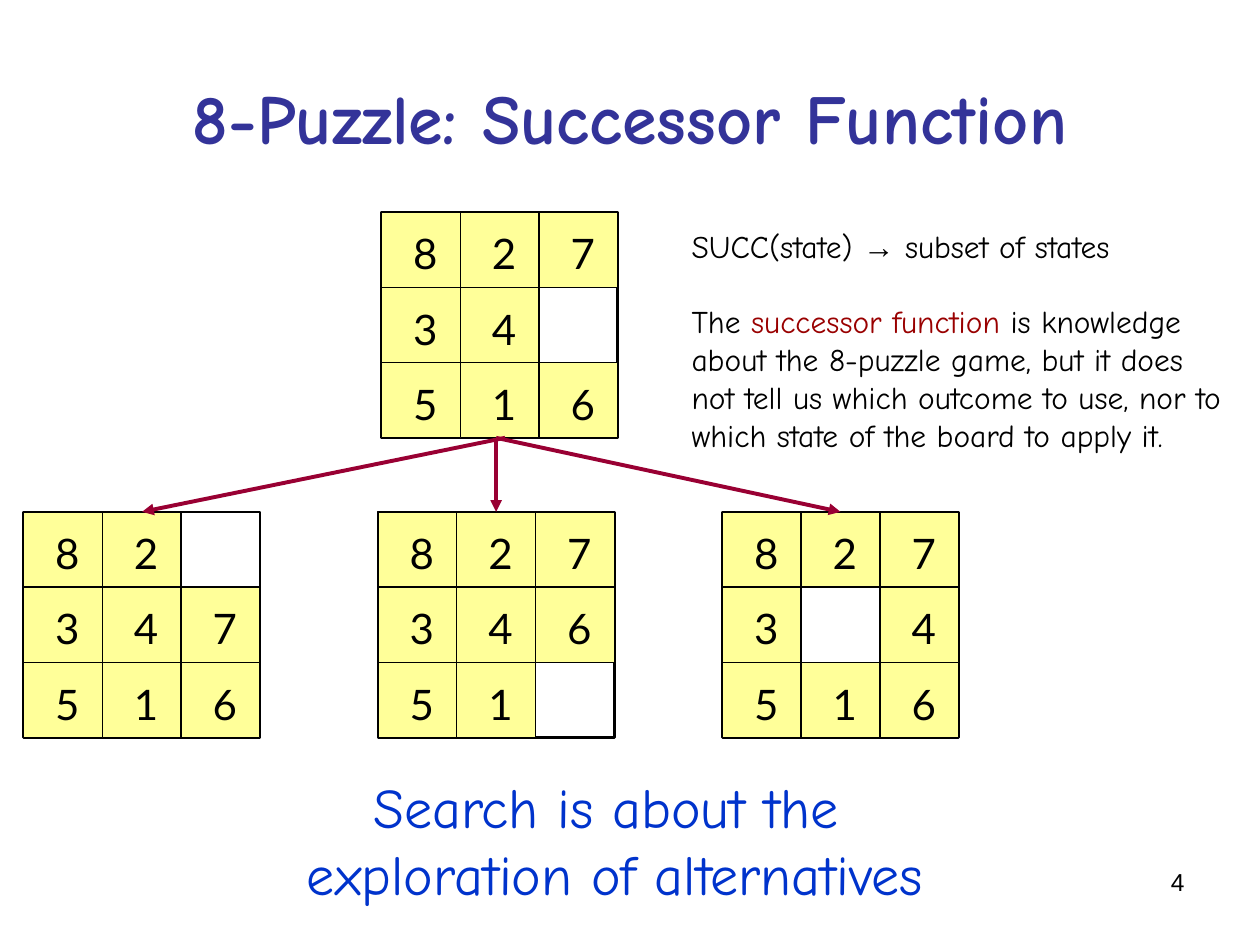
from dataclasses import dataclass

from lxml import etree
from pptx import Presentation
from pptx.dml.color import RGBColor
from pptx.enum.shapes import MSO_CONNECTOR, MSO_SHAPE
from pptx.enum.text import MSO_ANCHOR, MSO_AUTO_SIZE, PP_ALIGN
from pptx.oxml.ns import qn
from pptx.util import Pt

RECT = MSO_SHAPE.RECTANGLE
STRAIGHT = MSO_CONNECTOR.STRAIGHT
MIDDLE = MSO_ANCHOR.MIDDLE
FIT = MSO_AUTO_SIZE.SHAPE_TO_FIT_TEXT
LEFT, CENTER, RIGHT = PP_ALIGN.LEFT, PP_ALIGN.CENTER, PP_ALIGN.RIGHT

BLACK, YELLOW = "000000", "FFFF99"
COMIC, LATO, ARIAL = "Comic Neue", "Lato", "Arial"
TILE_W, TILE_H = 45, 43
DIGIT_DX, DIGIT_DY = 11, 5.5


@dataclass
class Board:
    x: float
    y: float
    rows: tuple[str, ...]  # a space marks the empty cell


@dataclass
class Run:
    text: str
    size: float
    font: str = COMIC
    color: str = BLACK
    bold: bool = False


@dataclass
class Arrow:
    x1: float
    x2: float


def rgb(color: str) -> RGBColor:
    return RGBColor.from_string(color)


def add_text(shapes, x: float, y: float, w: float, h: float,
             paragraphs: list[list[Run]], align=LEFT, wrap: bool = False):
    """Add a text box; a newline in a run becomes a line break."""
    sp = shapes.add_textbox(Pt(x), Pt(y), Pt(w), Pt(h))
    tf = sp.text_frame
    tf.word_wrap = wrap
    if not wrap:
        tf.auto_size = FIT
    for i, runs in enumerate(paragraphs):
        p = tf.paragraphs[0] if i == 0 else tf.add_paragraph()
        p.alignment = align
        for run in runs:
            for n, line in enumerate(run.text.split("\n")):
                if n:
                    p.add_line_break()
                r = p.add_run()
                r.text = line
                r.font.size = Pt(run.size)
                r.font.name = run.font
                r.font.bold = run.bold
                r.font.color.rgb = rgb(run.color)
    return tf


def add_rect(shapes, x: float, y: float, w: float, h: float,
             line_width: float, fill: str | None = None) -> None:
    sp = shapes.add_shape(RECT, Pt(x), Pt(y), Pt(w), Pt(h))
    sp.shadow.inherit = False
    if fill:
        sp.fill.solid()
        sp.fill.fore_color.rgb = rgb(fill)
    else:
        sp.fill.background()
    sp.line.color.rgb = rgb(BLACK)
    sp.line.width = Pt(line_width)


def add_board(s, board: Board) -> None:
    shapes = s.shapes.add_group_shape().shapes
    add_rect(shapes, board.x, board.y, 3 * TILE_W, 3 * TILE_H, 1.5)
    tiles = [(board.x + col * TILE_W, board.y + row * TILE_H, digit)
             for row, digits in enumerate(board.rows)
             for col, digit in enumerate(digits) if digit != " "]
    for x, y, _ in tiles:
        add_rect(shapes, x, y, TILE_W, TILE_H, 0.75, YELLOW)
    for x, y, digit in tiles:
        add_text(shapes, x + DIGIT_DX, y + DIGIT_DY, 28, 36,
                 [[Run(digit, 24, LATO)]])


def add_arrow(s, arrow: Arrow, y1: float, y2: float) -> None:
    cxn = s.shapes.add_connector(STRAIGHT, Pt(arrow.x1), Pt(y1),
                                 Pt(arrow.x2), Pt(y2))
    cxn.line.color.rgb = rgb("990033")
    cxn.line.width = Pt(2.25)
    ln = cxn.line._get_or_add_ln()
    etree.SubElement(ln, qn("a:tailEnd"), type="triangle")
    etree.SubElement(cxn._element.spPr, qn("a:effectLst"))


PARENT = Board(218, 121.2, ("827", "34 ", "516"))
CHILD_Y = 292.5
CHILDREN = [
    Board(13.5, CHILD_Y, ("82 ", "347", "516")),
    Board(216, CHILD_Y, ("827", "346", "51 ")),
    Board(412.8, CHILD_Y, ("827", "3 4", "516")),
]
ARROWS = [Arrow(288.6, 81.2), Arrow(283.5, 283.5), Arrow(283.5, 480.3)]


def main() -> None:
    prs = Presentation()
    prs.slide_width, prs.slide_height = Pt(720), Pt(540)
    s = prs.slides.add_slide(prs.slide_layouts[6])

    title = [[Run("8-Puzzle: Successor Function", 40, COMIC, "333399", True)]]
    tf = add_text(s.shapes, 36, 21.6, 648, 90, title, CENTER, wrap=True)
    tf.vertical_anchor = MIDDLE

    for board in [PARENT, *CHILDREN]:
        add_board(s, board)
    for arrow in ARROWS:
        add_arrow(s, arrow, PARENT.y + 3 * TILE_H, CHILD_Y)

    add_text(s.shapes, 167, 437.8, 369.4, 84.2,
             [[Run("Search is about the \nexploration of alternatives",
                   32, COMIC, "0033CC")]], CENTER)

    tf = add_text(s.shapes, 388.1, 126, 319, 136.8, [
        [Run("SUCC(state) ", 18), Run("→", 18, ARIAL),
         Run(" subset of states", 18)],
        [Run("The ", 18), Run("successor function", 18, COMIC, "990000"),
         Run(" is knowledge\nabout the 8-puzzle game, but it does", 18)],
        [Run("not tell us which outcome to use, nor to", 18)],
        [Run("which state of the board to apply it.", 18)],
    ])
    tf.paragraphs[1].space_before = Pt(21.6)

    add_text(s.shapes, 516.2, 491.8, 167.8, 37.4,
             [[Run("4", 14, ARIAL)]], RIGHT, wrap=True)

    prs.save("out.pptx")


if __name__ == "__main__":
    main()
